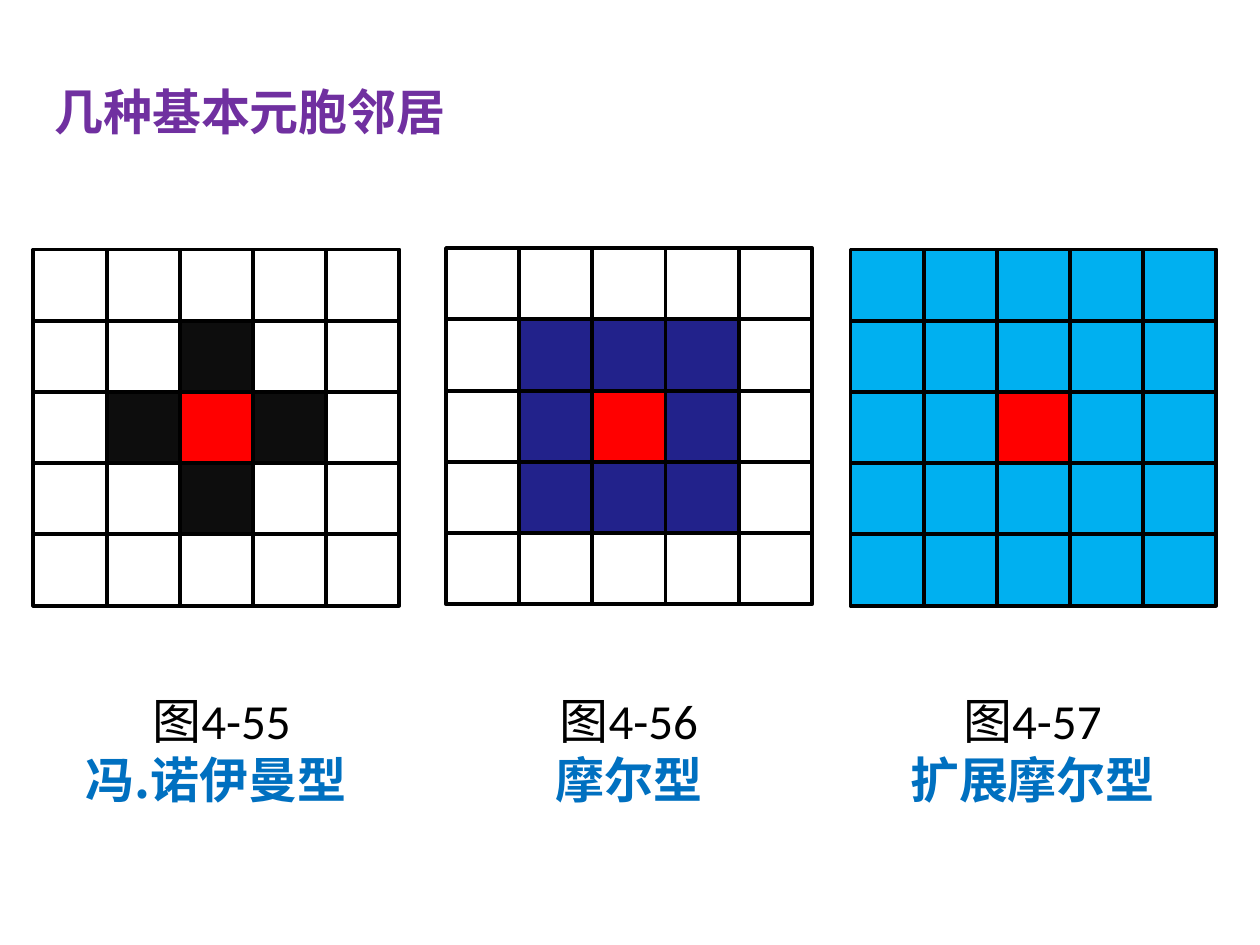
"""Build a slide comparing three basic cellular-automaton neighbourhoods."""
from lxml.etree import SubElement
from pptx import Presentation
from pptx.dml.color import RGBColor
from pptx.enum.shapes import MSO_SHAPE
from pptx.enum.text import MSO_ANCHOR, MSO_AUTO_SIZE, PP_ALIGN
from pptx.oxml.ns import qn
from pptx.util import Pt

WHITE = RGBColor(0xFF, 0xFF, 0xFF)
BLACK = RGBColor(0x00, 0x00, 0x00)
RED = RGBColor(0xFF, 0x00, 0x00)
CHARCOAL = RGBColor(0x0D, 0x0D, 0x0D)
NAVY = RGBColor(0x22, 0x22, 0x8B)
SKY = RGBColor(0x00, 0xB0, 0xF0)
BLUE = RGBColor(0x00, 0x70, 0xC0)
PURPLE = RGBColor(0x70, 0x30, 0xA0)

LATIN, CJK = "Calibri", "Noto Sans CJK SC"
HEADING = "几种基本元胞邻居"
HEADING_FORMAT = {"name": CJK, "size": Pt(28), "bold": True}
FIGURE_FORMAT = {"name": LATIN, "size": Pt(28), "bold": False}

VON_NEUMANN = (".....", "..#..", ".#O#.", "..#..", ".....")
MOORE = (".....", ".###.", ".#O#.", ".###.", ".....")
EXTENDED_MOORE = ("#####", "#####", "##O##", "#####", "#####")

NEIGHBOURHOODS = [
    {"figure": " 图4-55", "kind": "冯.诺伊曼型", "pattern": VON_NEUMANN, "colour": CHARCOAL,
     "grid": (19.1, 142.6), "caption": (31, 185)},
    {"figure": "图4-56", "kind": "摩尔型", "pattern": MOORE, "colour": NAVY,
     "grid": (254.9, 141.8), "caption": (283, 152.6)},
    {"figure": "图4-57", "kind": "扩展摩尔型", "pattern": EXTENDED_MOORE, "colour": SKY,
     "grid": (486, 142.6), "caption": (486, 208)},
]

CELL_WIDTH, CELL_HEIGHT = 41.8, 40.7
CAPTION_TOP, CAPTION_HEIGHT = 391, 75


def place(shape, left, top, width, height):
    shape.left, shape.top = Pt(left), Pt(top)
    shape.width, shape.height = Pt(width), Pt(height)


def write(paragraph, text, colour, formats, alignment):
    paragraph.alignment = alignment
    run = paragraph.add_run()
    run.text = text
    for attribute, value in formats.items():
        setattr(run.font, attribute, value)
    run.font.color.rgb = colour
    SubElement(run.font._element, qn("a:ea"), typeface=CJK)


def draw_grid(slide, neighbourhood):
    left, top = neighbourhood["grid"]
    fills = {".": WHITE, "#": neighbourhood["colour"], "O": RED}
    grid = slide.shapes.add_group_shape()
    for row, marks in enumerate(neighbourhood["pattern"]):
        for column, mark in enumerate(marks):
            cell = grid.shapes.add_shape(
                MSO_SHAPE.RECTANGLE,
                Pt(left + column * CELL_WIDTH), Pt(top + row * CELL_HEIGHT),
                Pt(CELL_WIDTH), Pt(CELL_HEIGHT))
            cell.shadow.inherit = False
            cell.fill.solid()
            cell.fill.fore_color.rgb = fills[mark]
            cell.line.color.rgb = BLACK
            cell.line.width = Pt(2.25)


def add_caption(slide, neighbourhood):
    left, width = neighbourhood["caption"]
    caption = slide.shapes.add_textbox(
        Pt(left), Pt(CAPTION_TOP), Pt(width), Pt(CAPTION_HEIGHT)).text_frame
    caption.word_wrap = True
    write(caption.paragraphs[0], neighbourhood["figure"], BLACK, FIGURE_FORMAT, PP_ALIGN.CENTER)
    write(caption.add_paragraph(), neighbourhood["kind"], BLUE, HEADING_FORMAT, PP_ALIGN.CENTER)


def main():
    presentation = Presentation()
    presentation.slide_width, presentation.slide_height = Pt(720), Pt(540)
    slide = presentation.slides.add_slide(presentation.slide_layouts[5])

    title = slide.shapes.title
    place(title, 23.8, 43.2, 260, 41)
    title.text_frame.auto_size = MSO_AUTO_SIZE.NONE
    title.text_frame.vertical_anchor = MSO_ANCHOR.TOP
    write(title.text_frame.paragraphs[0], HEADING, PURPLE, HEADING_FORMAT, PP_ALIGN.LEFT)

    for neighbourhood in NEIGHBOURHOODS:
        draw_grid(slide, neighbourhood)
        add_caption(slide, neighbourhood)

    presentation.save("out.pptx")


if __name__ == "__main__":
    main()
